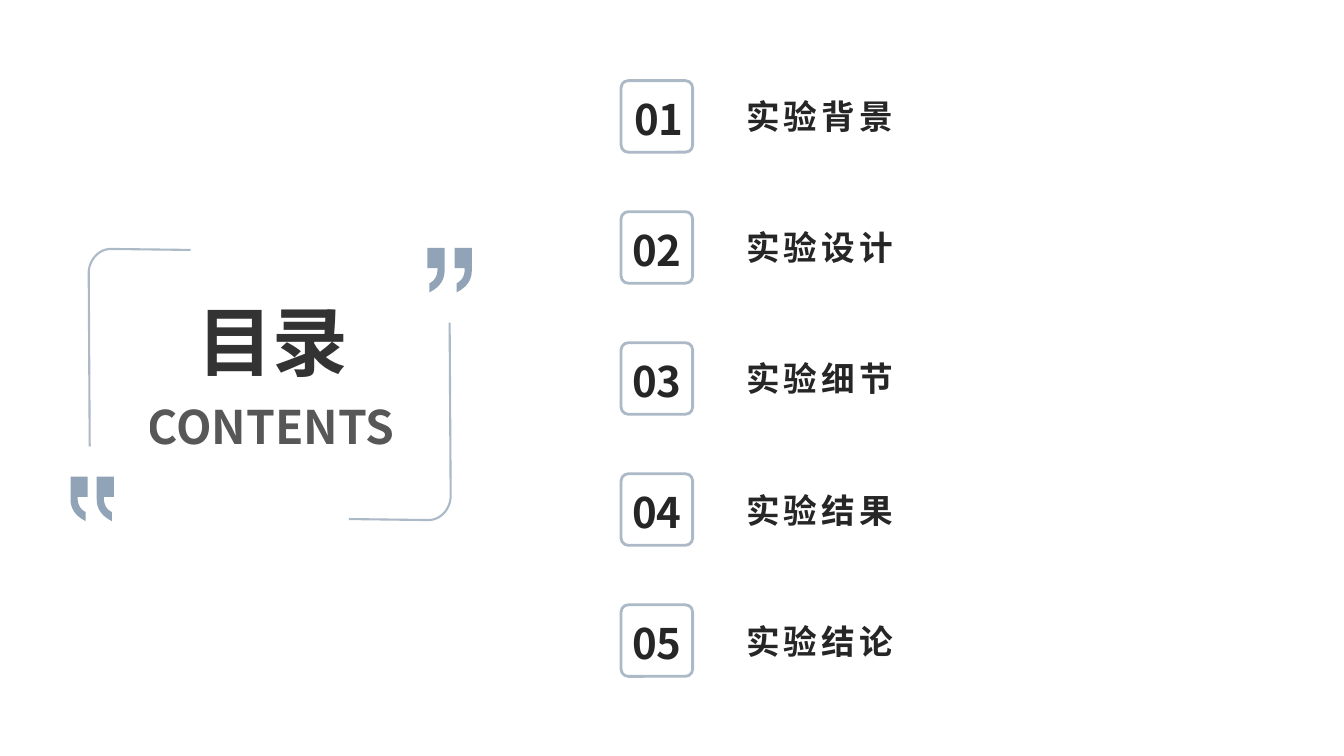
from dataclasses import dataclass

from lxml import etree
from pptx import Presentation
from pptx import util as u
from pptx.dml import color
from pptx.enum import shapes, text
from pptx.oxml import ns

COLORS = {"blue": "768CA4", "ink": "262626", "black": "000000"}
NOTO = "Noto Sans CJK SC"
ITEMS = ["实验背景", "实验设计", "实验细节", "实验结果", "实验结论"]
FIRST_TOP, PITCH = 0.8, 1.3
BADGE_LEFT, BADGE_SIZE = 6.16, 0.71
LABEL_LEFT, LABEL_OFFSET = 7.4, 0.08

Point = tuple[float, float]


@dataclass
class Outline:
    x: float
    y: float
    flip_x: int = 1
    flip_y: int = 1


@dataclass
class TextStyle:
    size: float
    color: str = "ink"
    font: str = NOTO
    align: text.PP_ALIGN = text.PP_ALIGN.CENTER
    spacing: int = 0


BRACKETS = [Outline(0.88, 2.47), Outline(4.47, 5.16, -1, -1)]
QUOTES = [
    Outline(4.24, 2.46),
    Outline(4.51, 2.46),
    Outline(1.13, 4.73, -1),
    Outline(0.87, 4.73, -1),
]


def curve(p0: Point, p1: Point, p2: Point, p3: Point, steps: int = 16) -> list[Point]:
    points = []
    for i in range(steps + 1):
        t = i / steps
        weights = ((1 - t) ** 3, 3 * t * (1 - t) ** 2, 3 * t**2 * (1 - t), t**3)
        points.append(tuple(
            sum(w * p[axis] for w, p in zip(weights, (p0, p1, p2, p3)))
            for axis in (0, 1)
        ))
    return points


BRACKET_POINTS = [
    (0.01, 1.96),
    *curve((0, 0.24), (0, 0.11), (0.1, 0), (0.22, 0)),
    (1.01, 0.01),
]
QUOTE_POINTS = [
    (0.02, 0.44),
    *curve((0.02, 0.35), (0.08, 0.32), (0.1, 0.27), (0.1, 0.2)),
    (0, 0.2),
    (0, 0),
    (0.17, 0),
    *curve((0.17, 0.22), (0.17, 0.32), (0.12, 0.39), (0.02, 0.44)),
]


def rgb(name: str) -> color.RGBColor:
    return color.RGBColor.from_string(COLORS[name])


def fade(sp, opacity: int) -> None:
    for clr in sp.element.iter(ns.qn("a:srgbClr")):
        etree.SubElement(clr, ns.qn("a:alpha"), val=str(opacity * 1000))


def draw_line(sp, width: float) -> None:
    sp.shadow.inherit = False
    sp.fill.background()
    sp.line.color.rgb = rgb("blue")
    sp.line.width = u.Pt(width)
    fade(sp, 60)


def draw_outline(slide, outline: Outline, points: list[Point], close: bool):
    placed = [
        (u.Inches(outline.x + outline.flip_x * x), u.Inches(outline.y + outline.flip_y * y))
        for x, y in points
    ]
    builder = slide.shapes.build_freeform(*placed[0])
    builder.add_line_segments(placed[1:], close=close)
    return builder.convert_to_shape()


def write(sp, words: str, style: TextStyle, wrap: bool = True) -> None:
    tf = sp.text_frame
    tf.text = words
    tf.word_wrap = wrap
    tf.auto_size = text.MSO_AUTO_SIZE.NONE
    tf.vertical_anchor = text.MSO_ANCHOR.MIDDLE
    tf.margin_left = tf.margin_top = tf.margin_right = tf.margin_bottom = 0
    p = tf.paragraphs[0]
    p.alignment = style.align
    r = p.runs[0]
    r.font.size = u.Pt(style.size)
    r.font.bold = True
    r.font.name = style.font
    r.font.color.rgb = rgb(style.color)
    r_pr = r.font._element
    etree.SubElement(r_pr, ns.qn("a:ea"), typeface=NOTO)
    if style.spacing:
        r_pr.set("spc", str(style.spacing * 100))


def draw_item(slide, index: int, label: str) -> None:
    top = FIRST_TOP + index * PITCH
    badge = slide.shapes.add_shape(
        shapes.MSO_SHAPE.ROUNDED_RECTANGLE,
        u.Inches(BADGE_LEFT), u.Inches(top), u.Inches(BADGE_SIZE), u.Inches(BADGE_SIZE),
    )
    badge.adjustments[0] = 0.1
    draw_line(badge, 2)
    write(badge, f"{index + 1:02}", TextStyle(30), wrap=False)
    badge.text_frame.margin_top = u.Inches(0.04)
    if index == 0:
        badge.text_frame.margin_left = u.Inches(0.04)

    box = slide.shapes.add_textbox(
        u.Inches(LABEL_LEFT), u.Inches(top + LABEL_OFFSET), u.Inches(4.48), u.Inches(0.55)
    )
    write(box, label, TextStyle(24, align=text.PP_ALIGN.LEFT, spacing=3))


def draw_heading(slide) -> None:
    title = slide.shapes.title
    title.left, title.top = u.Inches(1.54), u.Inches(2.87)
    title.width, title.height = u.Inches(2.33), u.Inches(1.01)
    write(title, "目录", TextStyle(54, "black", "Arial"))
    fade(title, 80)

    subtitle = slide.shapes.add_textbox(
        u.Inches(1.2), u.Inches(3.9), u.Inches(2.98), u.Inches(0.65)
    )
    write(subtitle, "CONTENTS", TextStyle(33, "black"), wrap=False)
    fade(subtitle, 65)


def main() -> None:
    prs = Presentation()
    prs.slide_width, prs.slide_height = u.Inches(13.33), u.Inches(7.5)
    slide = prs.slides.add_slide(prs.slide_layouts[5])
    for bracket in BRACKETS:
        draw_line(draw_outline(slide, bracket, BRACKET_POINTS, close=False), 1.5)
    for quote in QUOTES:
        sp = draw_outline(slide, quote, QUOTE_POINTS, close=True)
        sp.shadow.inherit = False
        sp.line.fill.background()
        sp.fill.solid()
        sp.fill.fore_color.rgb = rgb("blue")
        fade(sp, 80)
    draw_heading(slide)
    for index, label in enumerate(ITEMS):
        draw_item(slide, index, label)
    prs.save("out.pptx")


if __name__ == "__main__":
    main()
